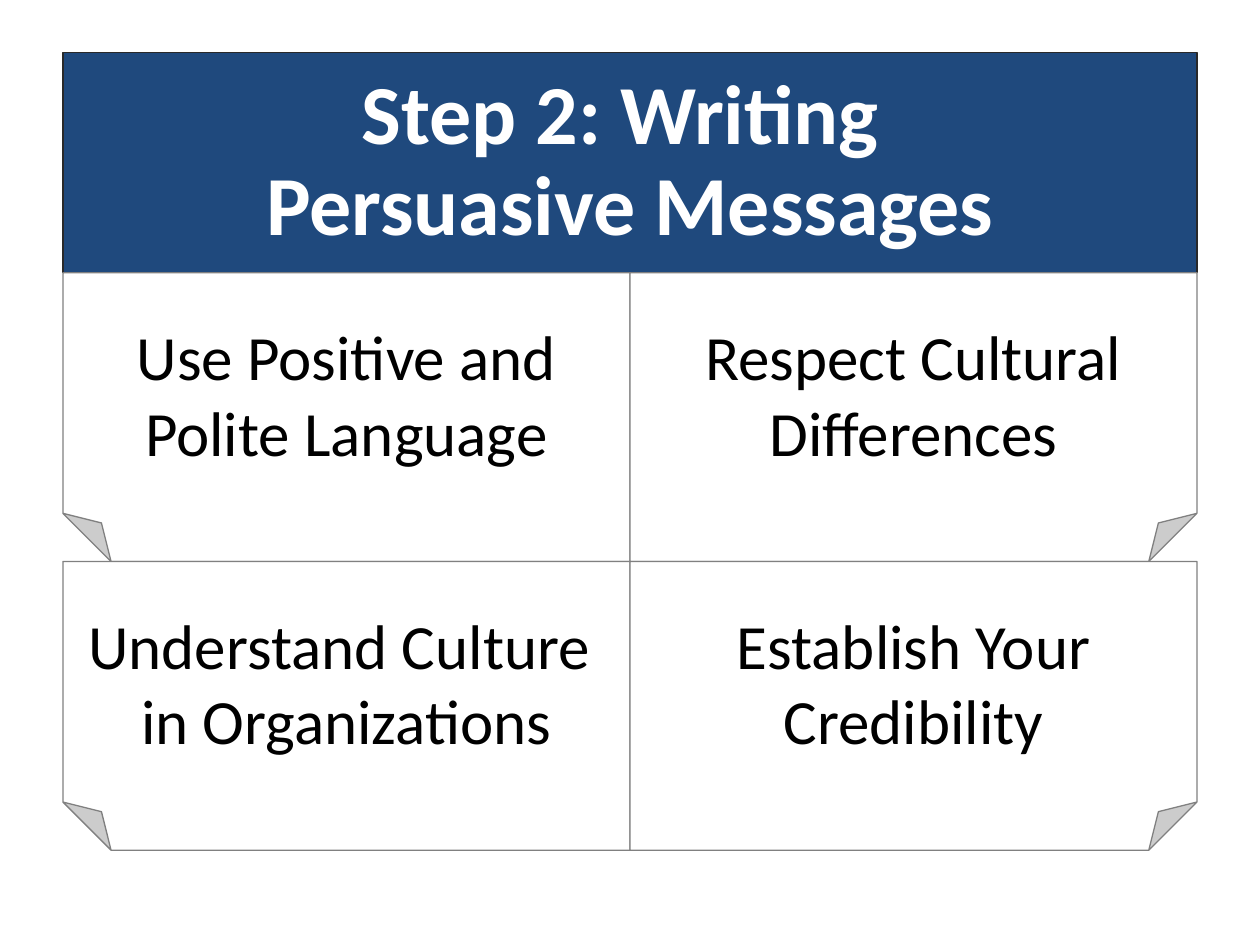
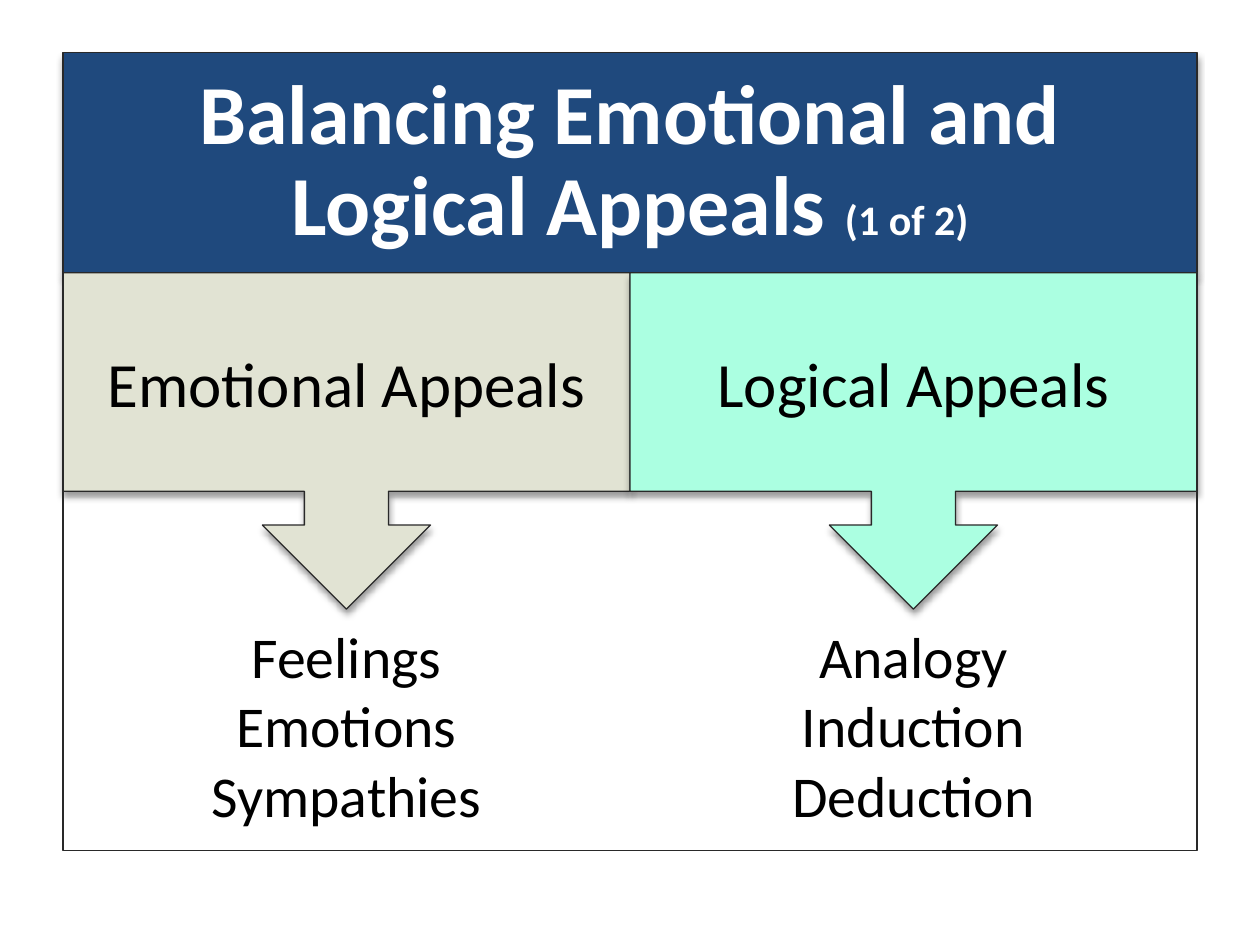
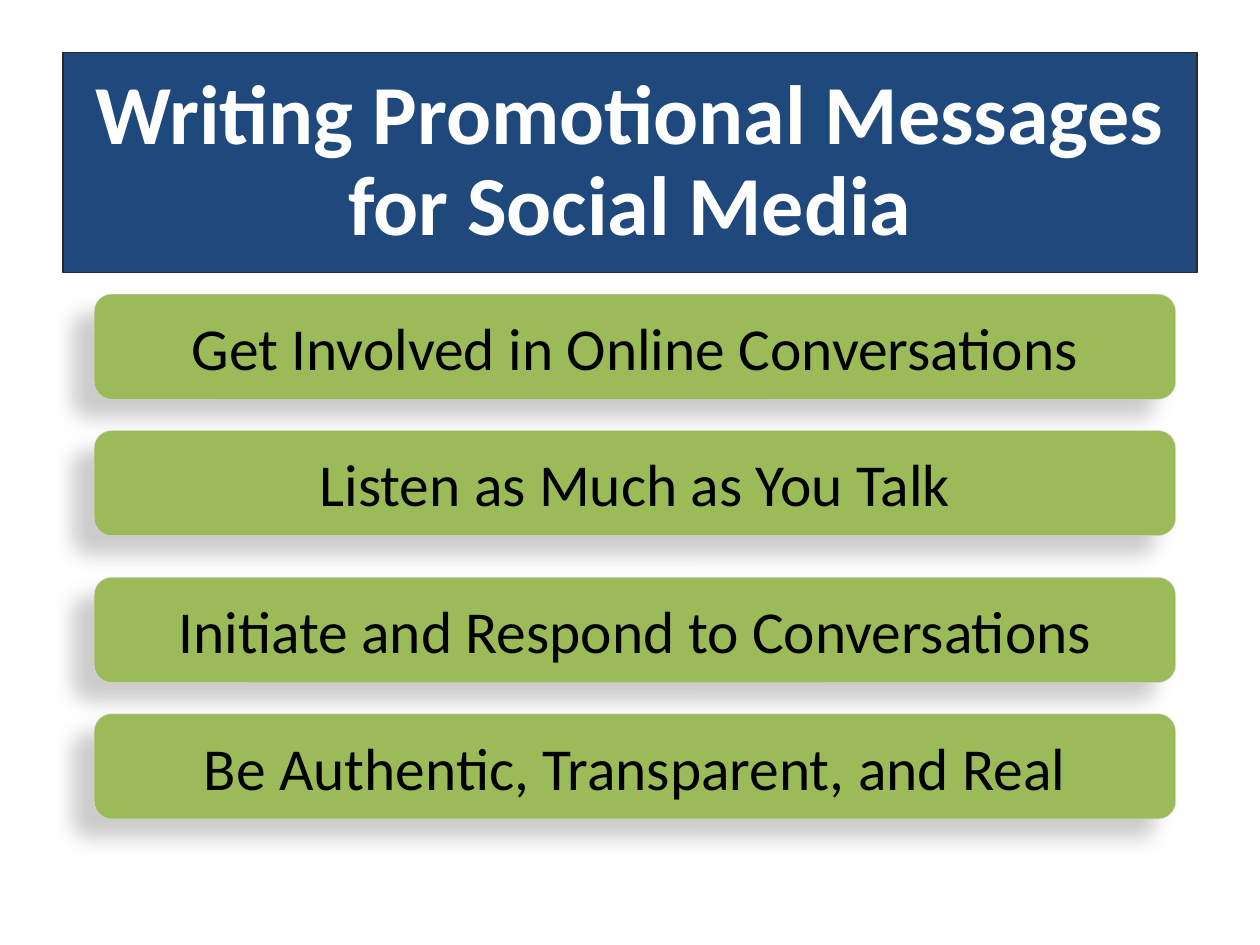
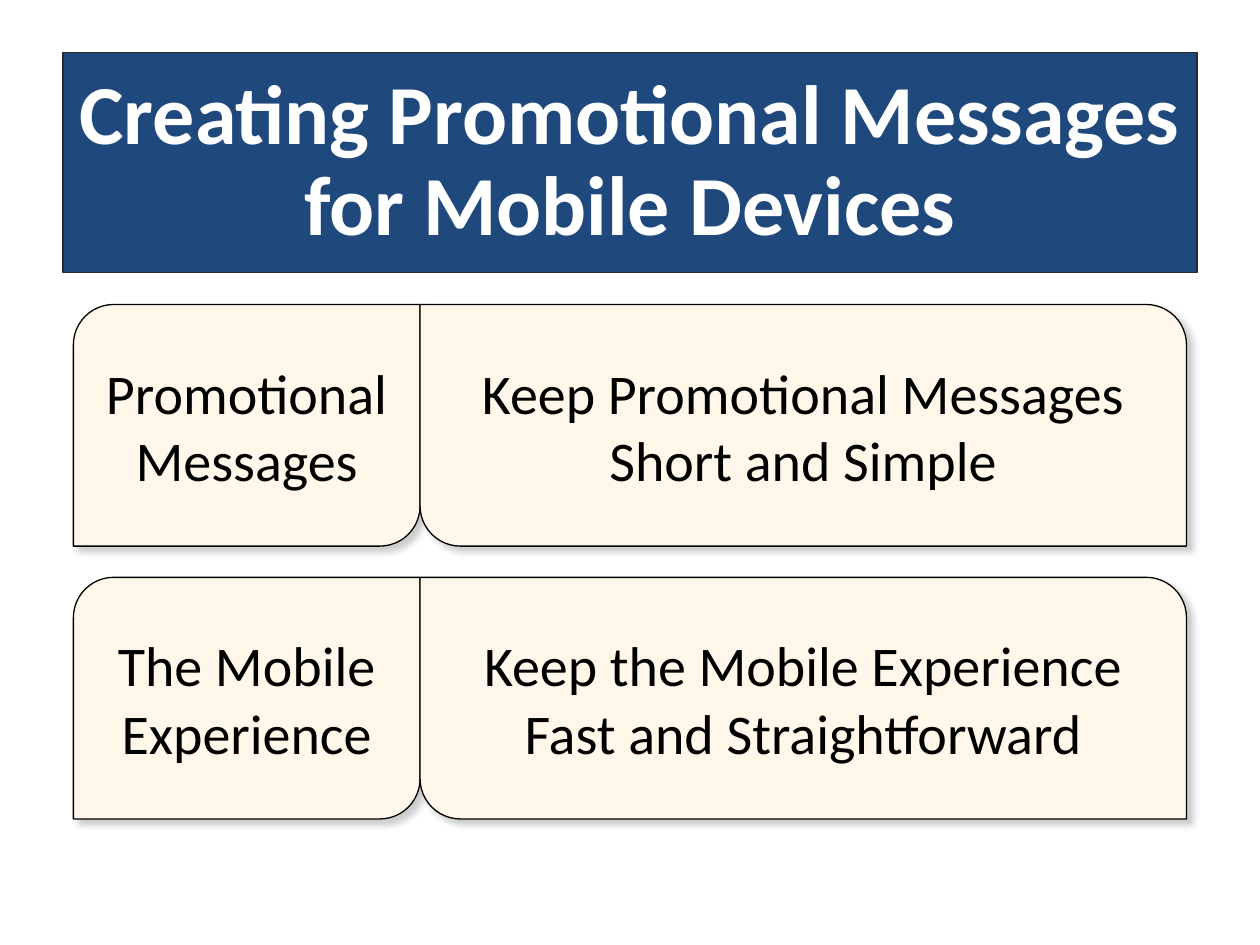
from typing import NamedTuple

from lxml.etree import SubElement as Sub
from pptx import Presentation as Deck
from pptx.dml.color import RGBColor as RGB
from pptx.enum.shapes import MSO_SHAPE as Kind
from pptx.enum.text import MSO_ANCHOR as Anchor, MSO_AUTO_SIZE as Fit, PP_ALIGN as Align
from pptx.oxml.ns import qn
from pptx.util import Cm, Pt

HUES = {
    "navy": "1F497D", "white": "FFFFFF", "black": "000000", "edge": "292929",
    "gray": "808080", "pale": "D9D9D9", "sand": "E1E3D3", "mint": "ABFFE1",
    "green": "9BBB59", "cream": "FFF8EA",
}
FONT = "Calibri"
FRAME = {"word_wrap": True, "auto_size": Fit.NONE, "vertical_anchor": Anchor.MIDDLE}
DROP = {"alpha": 40, "blur": 4, "dist": 3, "angle": 90}
CAST = {"alpha": 20, "blur": 11.8, "dist": 16, "angle": 141}
SOFT = {"alpha": 20, "blur": 4, "dist": 4, "angle": 45}


class Box(NamedTuple):
    left: float
    top: float
    width: float
    height: float


HEAD = Box(1.27, 1.06, 22.86, 4.44)
BODY = Box(1.27, 5.5, 22.86, 11.64)
LIST = Box(1.9, 5.93, 21.8, 10.58)
PAIRS = Box(1.48, 6.14, 22.44, 10.37)


def tint(name):
    return RGB.from_string(HUES[name])


def apply(item, values):
    for name, value in values.items():
        setattr(item, name, value)


def place(shape, box):
    apply(shape, {name: Cm(value) for name, value in box._asdict().items()})


def shade(shape, look):
    shape.shadow.inherit = False
    if not look:
        return
    effects = shape._element.spPr.find(qn("a:effectLst"))
    outer = Sub(effects, qn("a:outerShdw"), blurRad=str(Pt(look["blur"])),
                dist=str(Pt(look["dist"])), dir=str(look["angle"] * 60000),
                algn="ctr", rotWithShape="0")
    color = Sub(outer, qn("a:srgbClr"), val=HUES["black"])
    Sub(color, qn("a:alpha"), val=str(look["alpha"] * 1000))


def paint(shape, fill, line, weight=0.75, look=None):
    if fill:
        shape.fill.solid()
        shape.fill.fore_color.rgb = tint(fill)
    else:
        shape.fill.background()
    shape.line.color.rgb = tint(line)
    shape.line.width = Pt(weight)
    shade(shape, look)


def style(run, size, hue="black", bold=False):
    apply(run.font, {"name": FONT, "size": Pt(size), "bold": bold})
    run.font.color.rgb = tint(hue)


def write(shape, text, size, hue="black", bold=False):
    frame = shape.text_frame
    apply(frame, FRAME)
    frame.text = text
    for para in frame.paragraphs:
        para.alignment = Align.CENTER
        for run in para.runs:
            style(run, size, hue, bold)


def draw(slide, kind, box, text="", size=36, flip=False, **look):
    shape = slide.shapes.add_shape(kind, *map(Cm, box))
    paint(shape, **look)
    if flip:
        shape._element.spPr.find(qn("a:xfrm")).set("flipH", "1")
    if text:
        write(shape, text, size)
    return shape


def start(deck, lines, part="", look=None):
    slide = deck.slides.add_slide(deck.slide_layouts[5])
    title = slide.shapes.title
    place(title, HEAD)
    paint(title, "navy", "edge", look=look)
    write(title, lines[0], 48, "white", True)
    para = title.text_frame.paragraphs[0]
    para.line_spacing = 0.9
    for line in lines[1:]:
        para.add_line_break()
        run = para.add_run()
        run.text = line
        style(run, 48, "white", True)
    if part:
        run = para.add_run()
        run.text = part
        style(run, 24, "white", True)
    return slide


def notes(slide, box, rows):
    wide, high = box.width / 2, box.height / 2
    for row, texts in enumerate(rows):
        for col, text in enumerate(texts):
            cell = Box(box.left + col * wide, box.top + row * high, wide, high)
            draw(slide, Kind.FOLDED_CORNER, cell, text, flip=col == 0,
                 fill="white", line="gray")


def appeals(slide, box, items):
    wide, high = box.width / 2, 6.78
    for col, (head, words, fill) in enumerate(items):
        left = box.left + col * wide
        label = slide.shapes.add_textbox(
            *map(Cm, (left, box.top + high, wide, 4.66)))
        write(label, words, 33)
        draw(slide, Kind.DOWN_ARROW_CALLOUT, Box(left, box.top, wide, high), head,
             fill=fill, line="edge", look=DROP)
    draw(slide, Kind.RECTANGLE, box, fill=None, line="edge")


def bars(slide, box, texts):
    for row, text in enumerate(texts):
        top = box.top + row * 2.75 + row // 2 * 0.21
        draw(slide, Kind.ROUNDED_RECTANGLE, Box(box.left, top, box.width, 2.12),
             text, 34, fill="green", line="pale", weight=0.25, look=CAST)


def pairs(slide, box, rows):
    slim, high = 6.99, 4.87
    for row, texts in enumerate(rows):
        top = box.top + row * 5.5
        cells = (Box(box.left, top, slim, high),
                 Box(box.left + slim, top, box.width - slim, high))
        for col, (cell, text) in enumerate(zip(cells, texts)):
            draw(slide, Kind.ROUND_2_DIAG_RECTANGLE, cell, text, 32, flip=col == 1,
                 fill="cream", line="black", look=SOFT)


def main():
    deck = Deck()
    apply(deck, {"slide_width": Cm(25.4), "slide_height": Cm(19.05)})

    slide = start(deck, ["Step 2: Writing ", "Persuasive Messages"])
    notes(slide, BODY, [
        ("Use Positive and Polite Language", "Respect Cultural Differences"),
        ("Understand Culture \nin Organizations", "Establish Your Credibility"),
    ])

    slide = start(deck, ["Balancing Emotional and Logical Appeals "], "(1 of 2)", DROP)
    appeals(slide, BODY, [
        ("Emotional Appeals", "Feelings\nEmotions\nSympathies", "sand"),
        ("Logical Appeals", "Analogy\nInduction\nDeduction", "mint"),
    ])

    slide = start(deck, ["Writing Promotional Messages for Social Media"])
    bars(slide, LIST, [
        "Get Involved in Online Conversations",
        "Listen as Much as You Talk",
        "Initiate and Respond to Conversations",
        "Be Authentic, Transparent, and Real",
    ])

    slide = start(deck, ["Creating Promotional Messages for Mobile Devices"])
    pairs(slide, PAIRS, [
        ("Promotional Messages", "Keep Promotional Messages Short and Simple"),
        ("The Mobile Experience", "Keep the Mobile Experience Fast and Straightforward"),
    ])

    deck.save("out.pptx")


if __name__ == "__main__":
    main()
